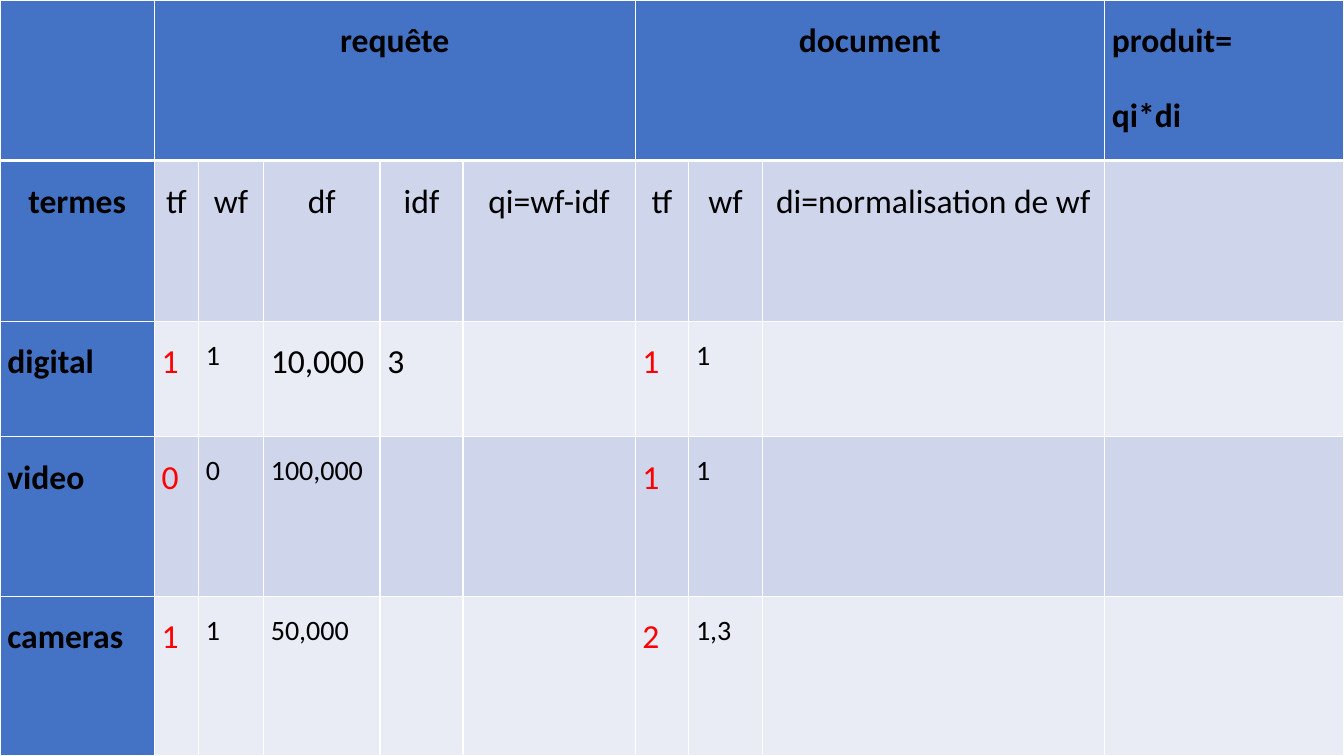
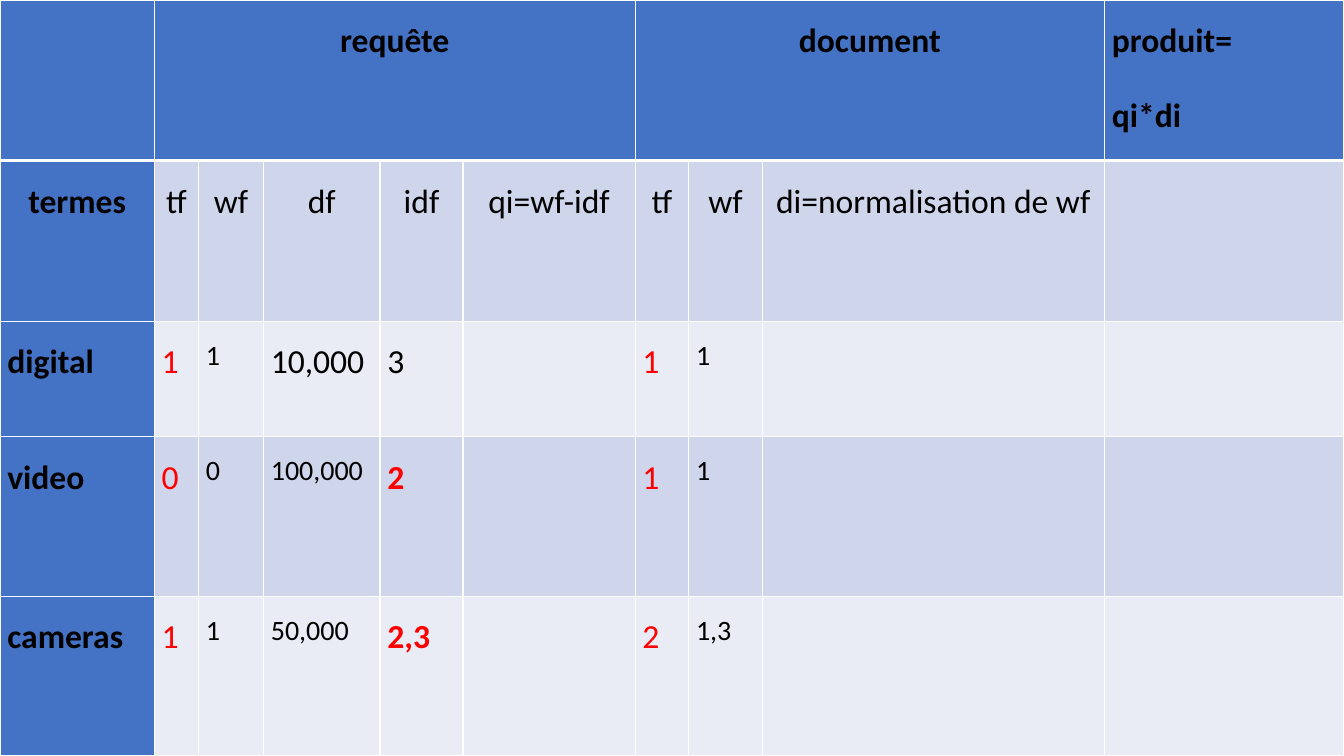
from dataclasses import dataclass

from lxml.etree import SubElement
from pptx import Presentation
from pptx.dml.color import RGBColor
from pptx.enum.text import PP_ALIGN as Align
from pptx.oxml.ns import qn
from pptx.util import Pt

PX = 9525
SLIDE_WIDTH, SLIDE_HEIGHT = 1280, 720
COLUMN_WIDTHS = [147, 42, 62, 111, 79, 164, 51, 70, 326, 228]
ROW_HEIGHTS = [153, 153, 110, 152, 152]
CELL_INSET = 7

FONT = "Calibri"
BLACK = RGBColor(0x00, 0x00, 0x00)
RED = RGBColor(0xFF, 0x00, 0x00)
WHITE = RGBColor(0xFF, 0xFF, 0xFF)
HEADING_BLUE = RGBColor(0x44, 0x72, 0xC4)
BANDS = [RGBColor(0xE9, 0xEB, 0xF5), RGBColor(0xCF, 0xD5, 0xEA)]


@dataclass(frozen=True)
class TextStyle:
    """Look of the text in one cell."""
    size: int = 24
    color: RGBColor = BLACK
    bold: bool = False
    align: Align = Align.JUSTIFY


GROUP = TextStyle(bold=True, align=Align.CENTER)
HEADING = TextStyle(bold=True)
MEASURE = TextStyle(align=Align.CENTER)
VALUE = TextStyle()
SMALL = TextStyle(size=20)
COUNT = TextStyle(color=RED)
ANSWER = TextStyle(color=RED, bold=True)

GROUPS = [(1, 5, "requête", GROUP), (6, 8, "document", GROUP),
          (9, 9, "produit=\nqi*di", HEADING)]
MEASURES = ["tf", "wf", "df", "idf", "qi=wf-idf",
            "tf", "wf", "di=normalisation de wf"]
IDF_COLUMN = 4
TERM_COLUMNS = [0, 1, 2, 3, 6, 7]
TERM_STYLES = [HEADING, COUNT, SMALL, SMALL, COUNT, SMALL]
TERMS = [
    ["digital", "1", "1", "10,000", "1", "1"],
    ["video", "0", "0", "100,000", "1", "1"],
    ["cameras", "1", "1", "50,000", "2", "1,3"],
]
FIRST_TERM_ROW = 2
IDF_ANSWERS = ["2", "2,3"]


def set_border(cell, side, width):
    """Draw one white edge of a cell, with its width in points."""
    edge = SubElement(cell._tc.get_or_add_tcPr(), qn(f"a:ln{side}"),
                      w=str(Pt(width)))
    fill = SubElement(edge, qn("a:solidFill"))
    SubElement(fill, qn("a:srgbClr"), val=str(WHITE))


def format_cell(cell, row, column):
    """Give a cell its insets, borders and fill from its place in the grid."""
    cell.margin_left = cell.margin_right = CELL_INSET * PX
    cell.margin_top = cell.margin_bottom = 0
    widths = {"L": 1, "R": 1, "T": 3 if row == 1 else 1,
              "B": 3 if row == 0 else 1}
    for side, width in widths.items():
        set_border(cell, side, width)
    cell.fill.solid()
    is_heading = row == 0 or column == 0
    cell.fill.fore_color.rgb = HEADING_BLUE if is_heading else BANDS[row % 2]


def write_cell(cell, text, style):
    """Write text into a cell in the given style."""
    cell.text_frame.text = text
    for paragraph in cell.text_frame.paragraphs:
        paragraph.alignment = style.align
        paragraph.line_spacing = 1.5
        paragraph.space_after = Pt(10)
        for run in paragraph.runs:
            run.font.name = FONT
            run.font.size = Pt(style.size)
            run.font.bold = style.bold
            run.font.color.rgb = style.color


def add_grid(slide):
    """Add the empty table that covers the slide."""
    grid = slide.shapes.add_table(
        len(ROW_HEIGHTS), len(COLUMN_WIDTHS), 0, 0,
        SLIDE_WIDTH * PX, SLIDE_HEIGHT * PX).table
    grid.first_col = True
    for column, width in zip(grid.columns, COLUMN_WIDTHS):
        column.width = width * PX
    for row, height in zip(grid.rows, ROW_HEIGHTS):
        row.height = height * PX
    for row in range(len(ROW_HEIGHTS)):
        for column in range(len(COLUMN_WIDTHS)):
            format_cell(grid.cell(row, column), row, column)
    return grid


def write_headings(grid):
    """Write the group headings and the row of measures."""
    for first, last, text, style in GROUPS:
        if last > first:
            grid.cell(0, first).merge(grid.cell(0, last))
        write_cell(grid.cell(0, first), text, style)
    write_cell(grid.cell(1, 0), "termes", GROUP)
    for column, measure in enumerate(MEASURES, start=1):
        write_cell(grid.cell(1, column), measure, MEASURE)


def write_terms(grid):
    """Write the known values of each term and the worked first line."""
    for row, term in enumerate(TERMS, start=FIRST_TERM_ROW):
        for column, text, style in zip(TERM_COLUMNS, term, TERM_STYLES):
            is_worked_df = row == FIRST_TERM_ROW and column == 3
            write_cell(grid.cell(row, column), text,
                       VALUE if is_worked_df else style)
    write_cell(grid.cell(FIRST_TERM_ROW, IDF_COLUMN), "3", VALUE)


def add_score_slide(deck, idf_answers):
    """Add a scoring table with the idf answers found so far."""
    slide = deck.slides.add_slide(deck.slide_layouts[6])
    grid = add_grid(slide)
    write_headings(grid)
    write_terms(grid)
    for row, answer in enumerate(idf_answers, start=FIRST_TERM_ROW + 1):
        write_cell(grid.cell(row, IDF_COLUMN), answer, ANSWER)


def main():
    """Build the exercise slide and the slide with its idf answers."""
    deck = Presentation()
    deck.slide_width = SLIDE_WIDTH * PX
    deck.slide_height = SLIDE_HEIGHT * PX
    for idf_answers in ([], IDF_ANSWERS):
        add_score_slide(deck, idf_answers)
    deck.save("out.pptx")


if __name__ == "__main__":
    main()
